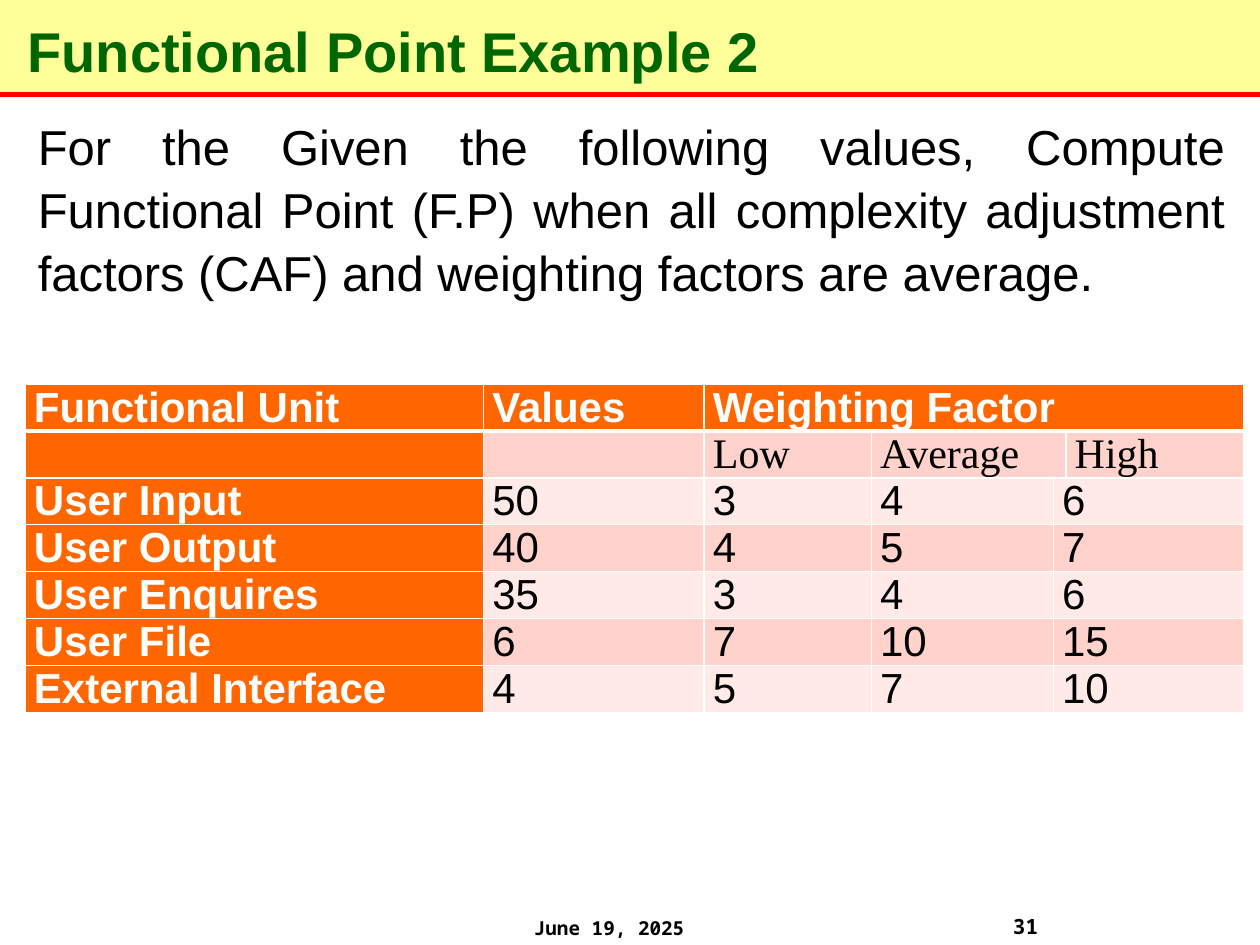
from lxml.etree import SubElement
from pptx import Presentation
from pptx.dml.color import RGBColor
from pptx.enum.shapes import MSO_CONNECTOR, MSO_SHAPE
from pptx.enum.text import MSO_ANCHOR, MSO_AUTO_SIZE, PP_ALIGN
from pptx.oxml import parse_xml
from pptx.oxml.ns import nsdecls, qn
from pptx.util import Pt

BLACK = RGBColor(0, 0, 0)
WHITE = RGBColor(255, 255, 255)
RED = RGBColor(255, 0, 0)
YELLOW = RGBColor(0xFF, 0xFF, 0x99)
GREEN = RGBColor(0, 0x66, 0)
ORANGE = RGBColor(0xFF, 0x66, 0)
PINK = RGBColor(0xFF, 0xD3, 0xCC)
PALE_PINK = RGBColor(0xFF, 0xEA, 0xE7)


def write(frame, text, size, color, align, font="Arial", bold=False):
    paragraph = frame.paragraphs[0]
    paragraph.alignment = align
    run = paragraph.add_run()
    run.text = text
    for name, value in {"size": Pt(size), "name": font, "bold": bold}.items():
        setattr(run.font, name, value)
    run.font.color.rgb = color
    return paragraph


def add_borders(cell, widths):
    props = cell._tc.get_or_add_tcPr()
    for index, (side, width) in enumerate(widths.items()):
        props.insert(index, parse_xml(
            f'<a:{side} {nsdecls("a")} w="{Pt(width)}"><a:solidFill>'
            f'<a:srgbClr val="{WHITE}"/></a:solidFill></a:{side}>'))


prs = Presentation()
prs.slide_width, prs.slide_height = Pt(720), Pt(540)
slide = prs.slides.add_slide(prs.slide_layouts[1])
title, question = slide.placeholders

for outlined in (True, False):
    band = slide.shapes.add_shape(MSO_SHAPE.RECTANGLE, 0, 0, Pt(720), Pt(54))
    band.shadow.inherit = False
    band.fill.solid()
    band.fill.fore_color.rgb = YELLOW
    if outlined:
        band.line.color.rgb = BLACK
        band.line.width = Pt(0.75)
    else:
        band.line.fill.background()
    title.element.addprevious(band.element)

rule = slide.shapes.add_connector(MSO_CONNECTOR.STRAIGHT, 0, Pt(54), Pt(720), Pt(54))
rule.line.color.rgb = RED
rule.line.width = Pt(3)
SubElement(rule.element.spPr, qn("a:effectLst"))
title.element.addprevious(rule.element)

for text, size, left, top, width, height in (
    ("31", 12, 558.7, 518.4, 54.7, 33),
    ("June 19, 2025", 11, 281.5, 519.8, 133.2, 18.7),
):
    footer = slide.shapes.add_textbox(Pt(left), Pt(top), Pt(width), Pt(height))
    footer.text_frame.word_wrap = True
    write(footer.text_frame, text, size, BLACK, PP_ALIGN.CENTER, "Noto Sans Mono", True)
    title.element.addprevious(footer.element)

for holder, box, anchor in (
    (title, (8.6, 0, 698.4, 57.6), MSO_ANCHOR.MIDDLE),
    (question, (14.4, 60.5, 692.6, 403.2), MSO_ANCHOR.TOP),
):
    for name, value in zip(("left", "top", "width", "height"), box):
        setattr(holder, name, Pt(value))
    holder.text_frame.auto_size = MSO_AUTO_SIZE.NONE
    holder.text_frame.vertical_anchor = anchor

write(title.text_frame, "Functional Point Example 2", 32, GREEN, PP_ALIGN.LEFT, bold=True)
request = write(
    question.text_frame,
    "For the Given the following values, Compute Functional Point (F.P) when all "
    "complexity adjustment factors (CAF) and weighting factors are average.",
    28, BLACK, PP_ALIGN.JUSTIFY)
request.line_spacing = 1.07
indents = request._p.get_or_add_pPr()
indents.set("marL", "0")
indents.set("indent", "0")
SubElement(indents, qn("a:buNone"))

rows = [
    ("Functional Unit", "Values", "Weighting Factor", "", "", ""),
    ("", "", "Low", "Average", "", "High"),
    ("User Input", "50", "3", "4", "6", ""),
    ("User Output", "40", "4", "5", "7", ""),
    ("User Enquires", "35", "3", "4", "6", ""),
    ("User File", "6", "7", "10", "15", ""),
    ("External Interface", "4", "5", "7", "10", ""),
]
column_widths = [262, 126, 95.6, 104, 7.2, 101.6]
row_height = 26.7
factors = slide.shapes.add_table(
    len(rows), len(column_widths), Pt(14.4), Pt(219.6),
    Pt(sum(column_widths)), Pt(row_height * len(rows))).table
for column, width in zip(factors.columns, column_widths):
    column.width = Pt(width)

for r, row in enumerate(rows):
    factors.rows[r].height = Pt(row_height)
    for c, text in enumerate(row):
        cell = factors.cell(r, c)
        heading = r == 0 or c == 0
        for name, value in {"margin_left": 5, "margin_right": 5,
                            "margin_top": 0, "margin_bottom": 0}.items():
            setattr(cell, name, Pt(value))
        cell.fill.solid()
        cell.fill.fore_color.rgb = ORANGE if heading else PINK if r % 2 else PALE_PINK
        add_borders(cell, {"lnL": 1, "lnR": 1, "lnT": 3 if r == 1 else 1,
                           "lnB": 3 if r == 0 else 1})
        if text:
            write(cell.text_frame, text, 24, WHITE if heading else BLACK,
                  PP_ALIGN.LEFT if text == "Average" else PP_ALIGN.JUSTIFY,
                  "Times New Roman" if r == 1 else "Arial", heading)

factors.cell(0, 2).merge(factors.cell(0, 5))
factors.cell(1, 3).merge(factors.cell(1, 4))
for r in range(2, len(rows)):
    factors.cell(r, 4).merge(factors.cell(r, 5))

prs.save("out.pptx")
